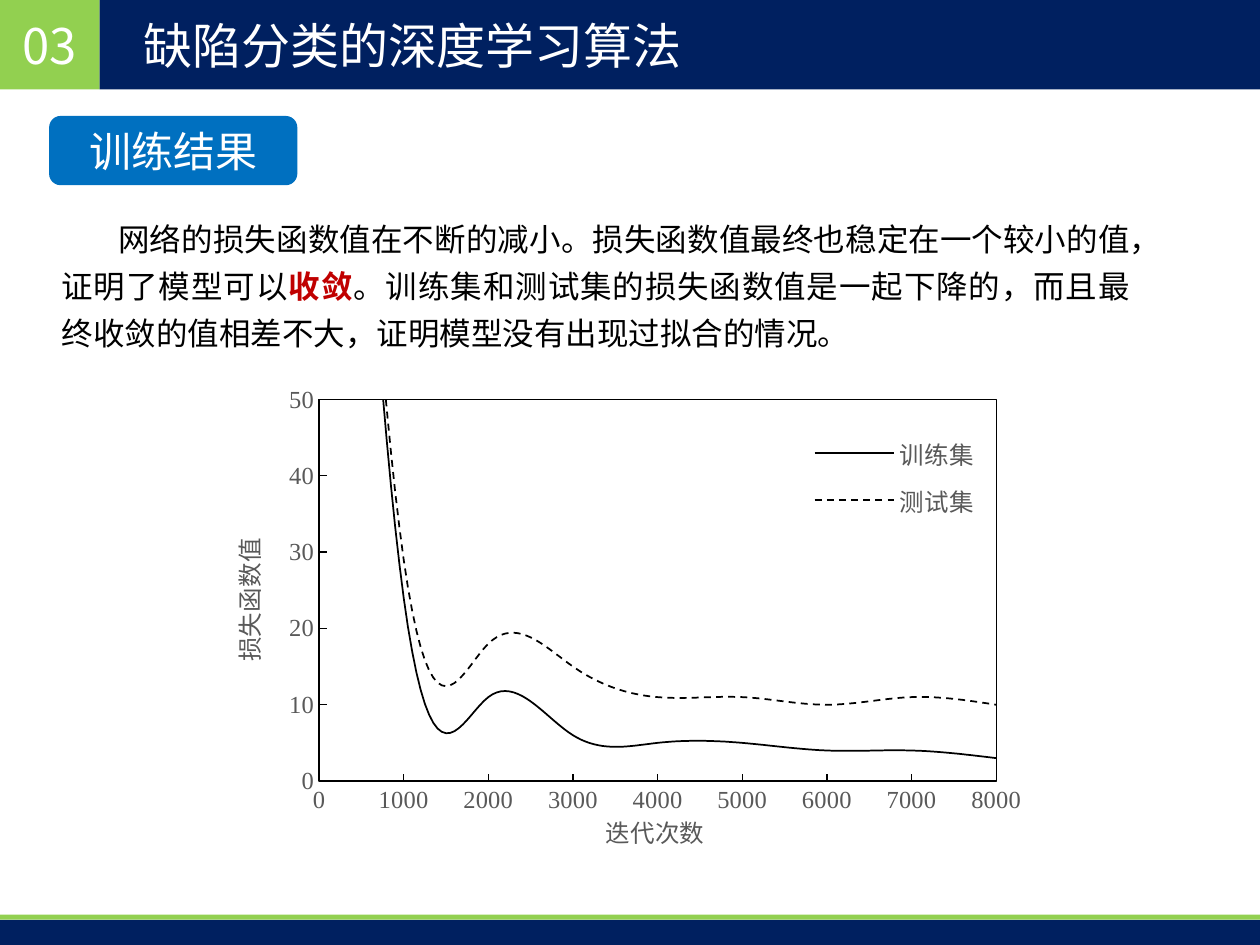
from lxml import etree
from pptx import Presentation
from pptx.chart.data import CategoryChartData
from pptx.dml.color import RGBColor
from pptx.enum.chart import XL_CHART_TYPE, XL_LEGEND_POSITION, XL_TICK_MARK
from pptx.enum.dml import MSO_LINE
from pptx.enum.shapes import MSO_SHAPE
from pptx.enum.text import MSO_ANCHOR, PP_ALIGN
from pptx.oxml import parse_xml
from pptx.oxml.ns import qn
from pptx.util import Inches, Pt

GREEN = RGBColor(0x92, 0xD0, 0x50)
NAVY = RGBColor(0x00, 0x20, 0x60)
BLUE = RGBColor(0x00, 0x70, 0xC0)
RED = RGBColor(0xC0, 0x00, 0x00)
GRAY = RGBColor(0x59, 0x59, 0x59)
BLACK = RGBColor(0x00, 0x00, 0x00)
WHITE = RGBColor(0xFF, 0xFF, 0xFF)
CJK, SERIF = "Noto Sans CJK SC", "Times New Roman"
RECT, ROUND = MSO_SHAPE.RECTANGLE, MSO_SHAPE.ROUNDED_RECTANGLE
LEFT, CENTER, JUSTIFY = PP_ALIGN.LEFT, PP_ALIGN.CENTER, PP_ALIGN.JUSTIFY
TOP, MIDDLE = MSO_ANCHOR.TOP, MSO_ANCHOR.MIDDLE
NS = ('xmlns:c="http://schemas.openxmlformats.org/drawingml/2006/chart" '
      'xmlns:a="http://schemas.openxmlformats.org/drawingml/2006/main"')


def set_font(font, size, color, name, bold=False):
    font.size, font.name, font.bold = Pt(size), name, bold
    font.color.rgb = color


def add_text(p, text, size=28, color=WHITE, name=CJK, bold=False):
    r = p.add_run()
    r.text = text
    set_font(r.font, size, color, name, bold)
    etree.SubElement(r.font._element, qn("a:ea")).set("typeface", CJK)


def set_layout(parent, index, x, y, w, h, inner=False):
    for old in parent.findall(qn("c:layout")):
        parent.remove(old)
    target = '<c:layoutTarget val="inner"/>' if inner else ""
    parent.insert(index, parse_xml(
        f'<c:layout {NS}><c:manualLayout>{target}'
        '<c:xMode val="edge"/><c:yMode val="edge"/>'
        f'<c:x val="{x}"/><c:y val="{y}"/><c:w val="{w}"/><c:h val="{h}"/>'
        '</c:manualLayout></c:layout>'))


class Deck:
    def __init__(self):
        self.prs = Presentation()
        self.prs.slide_width, self.prs.slide_height = Inches(10), Inches(7.5)
        self.s = self.prs.slides.add_slide(self.prs.slide_layouts[6])

    def box(self, x, y, w, h, fill, kind=RECT):
        sp = self.s.shapes.add_shape(kind, Inches(x), Inches(y), Inches(w), Inches(h))
        sp.shadow.inherit = False
        sp.fill.solid()
        sp.fill.fore_color.rgb = fill
        sp.line.fill.background()
        return sp

    def paragraph(self, sp, align, anchor=MIDDLE):
        tf = sp.text_frame
        tf.word_wrap = True
        tf.vertical_anchor = anchor
        p = tf.paragraphs[0]
        p.alignment = align
        return p

    def text(self, x, y, w, h, align=LEFT, anchor=MIDDLE):
        sp = self.s.shapes.add_textbox(Inches(x), Inches(y), Inches(w), Inches(h))
        return self.paragraph(sp, align, anchor)

    def axis(self, axis, title):
        axis.has_major_gridlines = False
        axis.major_tick_mark = XL_TICK_MARK.INSIDE
        axis.minor_tick_mark = XL_TICK_MARK.NONE
        axis.format.line.color.rgb = BLACK
        axis.format.line.width = Pt(0.75)
        set_font(axis.tick_labels.font, 14, GRAY, SERIF)
        tf = axis.axis_title.text_frame
        add_text(tf.paragraphs[0], title, size=14, color=GRAY, name=SERIF)
        return tf

    def line_chart(self, x, y, w, h, categories, series):
        data = CategoryChartData()
        data.categories = categories
        for name, values, dash in series:
            data.add_series(name, values)
        chart = self.s.shapes.add_chart(
            XL_CHART_TYPE.LINE, Inches(x), Inches(y), Inches(w), Inches(h), data).chart
        chart.has_title = False
        set_font(chart.font, 14, BLACK, SERIF)
        plot = chart.plots[0]
        plot.vary_by_categories = False
        for line, (name, values, dash) in zip(plot.series, series):
            line.smooth = True
            line.format.line.color.rgb = BLACK
            line.format.line.width = Pt(1)
            line.format.line.dash_style = dash

        self.axis(chart.category_axis, "迭代次数")
        value_axis = chart.value_axis
        tf = self.axis(value_axis, "损失函数值")
        body = tf._txBody.find(qn("a:bodyPr"))
        body.set("rot", "-5400000")
        body.set("vert", "horz")
        value_axis.minimum_scale, value_axis.maximum_scale = 0, 50
        value_axis.major_unit = 10
        ax = value_axis._element
        cross = ax.find(qn("c:crossBetween"))
        if cross is None:
            cross = parse_xml(f"<c:crossBetween {NS}/>")
            ax.find(qn("c:crosses")).addnext(cross)
        cross.set("val", "midCat")

        chart.has_legend = True
        legend = chart.legend
        legend.position = XL_LEGEND_POSITION.CORNER
        legend.include_in_layout = False
        set_font(legend.font, 14, GRAY, SERIF)
        set_layout(legend._element, 1, 0.7, 0.1, 0.25, 0.22)

        area = ax.getparent()
        set_layout(area, 0, 0.118, 0.05, 0.832, 0.793, inner=True)
        area.append(parse_xml(
            f'<c:spPr {NS}><a:noFill/><a:ln w="9525"><a:solidFill>'
            f'<a:srgbClr val="{BLACK}"/></a:solidFill></a:ln></c:spPr>'))


def main():
    deck = Deck()
    deck.box(0, 0, 0.79, 0.71, GREEN)
    deck.box(0.79, 0, 9.21, 0.71, NAVY)
    deck.box(0, 7.3, 10, 0.24, NAVY)
    deck.box(0, 7.26, 10, 0.04, GREEN)
    add_text(deck.text(1.04, 0, 8.03, 0.71), "缺陷分类的深度学习算法")
    add_text(deck.text(0, 0, 0.79, 0.71, CENTER), "03")
    label = deck.box(0.39, 0.92, 1.97, 0.55, BLUE, ROUND)
    add_text(deck.paragraph(label, CENTER), "训练结果", size=24)

    deck.line_chart(
        1.77, 2.98, 6.46, 3.82, [str(n) for n in range(0, 8001, 1000)],
        [("训练集", (182, 24, 11, 6, 5, 5, 4, 4, 3), MSO_LINE.SOLID),
         ("测试集", (181, 29, 18, 15, 11, 11, 10, 11, 10), MSO_LINE.DASH)])

    p = deck.text(0.39, 1.62, 8.68, 1.2, JUSTIFY, TOP)
    p.line_spacing = 1.25
    p._p.get_or_add_pPr().set("indent", str(Inches(0.45)))
    for text, color, bold in (
            ("网络的损失函数值在不断的减小。损失函数值最终也稳定在一个较小的值，证明了模型可以", BLACK, False),
            ("收敛", RED, True),
            ("。训练集和测试集的损失函数值是一起下降的，而且最终收敛的值相差不大，"
             "证明模型没有出现过拟合的情况。", BLACK, False)):
        add_text(p, text, size=18, color=color, name=SERIF, bold=bold)
    deck.prs.save("out.pptx")


if __name__ == "__main__":
    main()
